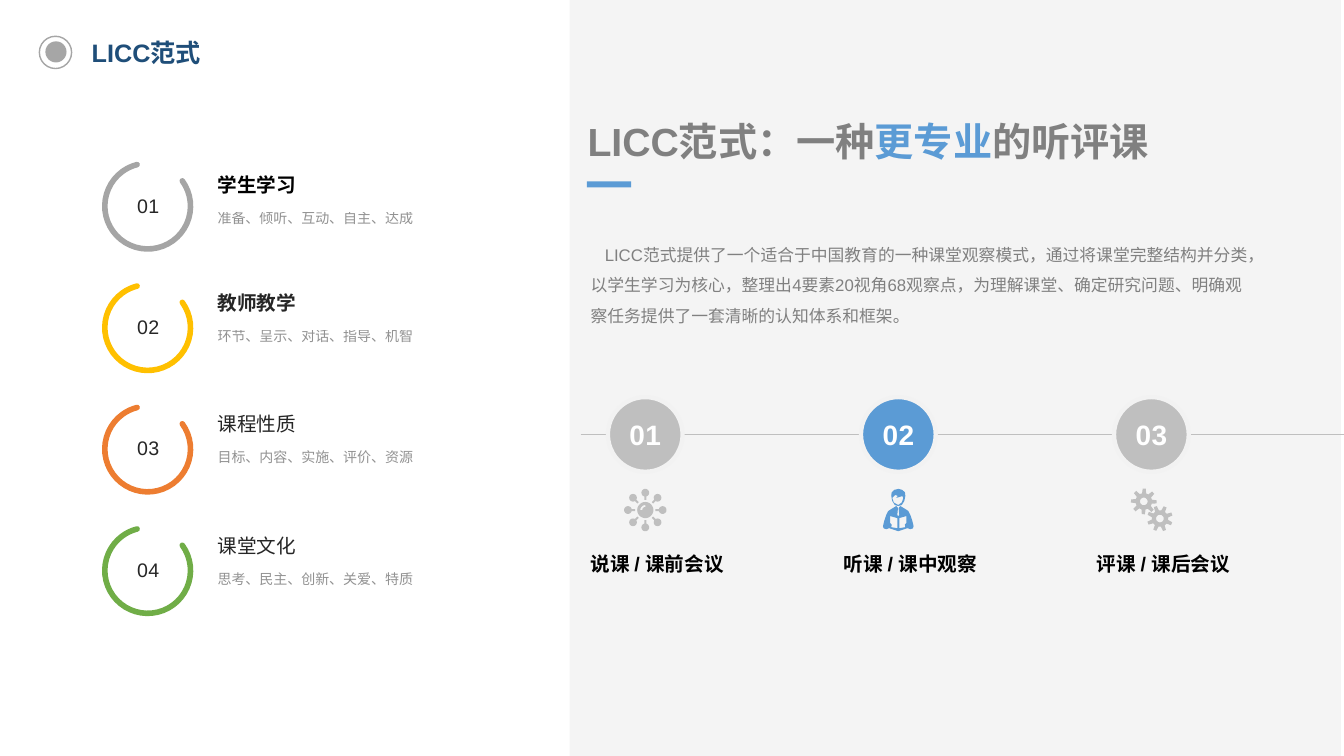
from dataclasses import dataclass
from math import cos, radians, sin

from lxml.etree import SubElement
from pptx import Presentation
from pptx.dml.color import RGBColor
from pptx.enum.shapes import MSO_CONNECTOR, MSO_SHAPE
from pptx.enum.text import MSO_ANCHOR, MSO_AUTO_SIZE, PP_ALIGN
from pptx.oxml.ns import qn
from pptx.util import Inches, Pt

FONT = "Arial"
WHITE = RGBColor(0xFF, 0xFF, 0xFF)
BLACK = RGBColor(0x00, 0x00, 0x00)
INK = RGBColor(0x26, 0x26, 0x26)
GRAY = RGBColor(0x80, 0x80, 0x80)
RING_GRAY = RGBColor(0xA6, 0xA6, 0xA6)
SILVER = RGBColor(0xBF, 0xBF, 0xBF)
PANEL = RGBColor(0xF2, 0xF2, 0xF2)
BLUE = RGBColor(0x5B, 0x9B, 0xD5)
NAVY = RGBColor(0x1F, 0x4E, 0x79)
ARC_GRAY = RGBColor(0xA5, 0xA5, 0xA5)
ARC_YELLOW = RGBColor(0xFF, 0xC0, 0x00)
ARC_ORANGE = RGBColor(0xED, 0x7D, 0x31)
ARC_GREEN = RGBColor(0x70, 0xAD, 0x47)

Points = list[tuple[float, float]]


@dataclass
class Run:
    text: str
    size: float
    color: RGBColor
    bold: bool = False
    opacity: int = 100


@dataclass
class Element:
    name: str
    detail: str
    color: RGBColor
    label_top: float
    label_color: RGBColor = INK
    bold: bool = False


@dataclass
class Stage:
    name: str
    color: RGBColor
    icon: list[Points]


def set_opacity(xml, percent: int) -> None:
    for color in list(xml.iter(qn("a:srgbClr"))):
        SubElement(color, qn("a:alpha")).set("val", str(percent * 1000))


def write(shape, runs: list[Run], align=PP_ALIGN.LEFT, anchor=MSO_ANCHOR.TOP, spacing=1.0):
    frame = shape.text_frame
    frame.word_wrap = True
    frame.auto_size = MSO_AUTO_SIZE.NONE
    frame.vertical_anchor = anchor
    paragraph = frame.paragraphs[0]
    paragraph.alignment = align
    paragraph.line_spacing = spacing
    for item in runs:
        run = paragraph.add_run()
        run.text = item.text
        run.font.name = FONT
        run.font.size = Pt(item.size)
        run.font.bold = item.bold
        run.font.color.rgb = item.color
        if item.opacity < 100:
            set_opacity(run._r, item.opacity)
    return paragraph


def add_text(slide, left: float, top: float, width: float, height: float, runs: list[Run], **layout):
    box = slide.shapes.add_textbox(Inches(left), Inches(top), Inches(width), Inches(height))
    return write(box, runs, **layout)


def add_preset(slide, kind, left: float, top: float, width: float, height: float,
               fill: RGBColor | None = None, line: RGBColor | None = None, weight: float = 1):
    shape = slide.shapes.add_shape(kind, Inches(left), Inches(top), Inches(width), Inches(height))
    shape.shadow.inherit = False
    if fill is None:
        shape.fill.background()
    else:
        shape.fill.solid()
        shape.fill.fore_color.rgb = fill
    if line is None:
        shape.line.fill.background()
    else:
        shape.line.color.rgb = line
        shape.line.width = Pt(weight)
    return shape


def add_icon(slide, contours: list[Points], x: float, y: float, color: RGBColor) -> None:
    places = [[(x * 1000 + dx, y * 1000 + dy) for dx, dy in contour] for contour in contours]
    builder = slide.shapes.build_freeform(*places[0][0], scale=914.4)
    builder.add_line_segments(places[0][1:])
    for contour in places[1:]:
        builder.move_to(*contour[0])
        builder.add_line_segments(contour[1:])
    shape = builder.convert_to_shape()
    shape.shadow.inherit = False
    shape.fill.solid()
    shape.fill.fore_color.rgb = color
    shape.line.fill.background()


def polar(radius: float, degrees: float, x: float = 0, y: float = 0) -> tuple[float, float]:
    return x + radius * cos(radians(degrees)), y + radius * sin(radians(degrees))


def circle(radius: float, x: float = 0, y: float = 0) -> Points:
    return [polar(radius, angle, x, y) for angle in range(0, 360, 10)]


def network_icon() -> list[Points]:
    glint = [polar(50, a) for a in range(180, 271, 10)] + [polar(30, a) for a in range(270, 179, -10)]
    spoke = [(100, 10), (100, -10)] + [polar(38, a, 172) for a in range(-165, 166, 15)]
    contours = [circle(80), glint]
    for turn in range(0, 360, 45):
        c, s = cos(radians(turn)), sin(radians(turn))
        contours.append([(u * c - v * s, u * s + v * c) for u, v in spoke])
    return contours


def mirror(points: Points) -> Points:
    return [(-x, y) for x, y in reversed(points)]


def reader_icon() -> list[Points]:
    head = [(0, -210), (40, -200), (66, -175), (70, -140), (60, -90), (35, -50), (0, -40)]
    face = [(-30, -150), (-60, -120), (-45, -75), (0, -50), (35, -75), (50, -120),
            (40, -138), (-20, -120), (-5, -140)]
    body = [(0, 60), (10, 50), (3, -20), (20, -40), (70, -10), (100, 10), (120, 50), (140, 110),
            (152, 160), (145, 182), (120, 190), (90, 180), (0, 210)]
    page = [(80, 60), (10, 80), (10, 180), (70, 170), (65, 145), (80, 130)]
    return [head + mirror(head), face, body + mirror(body), page, mirror(page)]


def gear(x: float, y: float, phase: float) -> list[Points]:
    profile = [(82, -14), (128, -7), (128, 7), (82, 14)]
    teeth = [polar(radius, phase + turn + offset, x, y)
             for turn in range(0, 360, 45) for radius, offset in profile]
    return [teeth, circle(38, x, y)]


def gears_icon() -> list[Points]:
    return gear(-75, -85, 2) + gear(85, 85, 24)


def add_element(slide, index: int, element: Element) -> None:
    top = 1.62 + 1.205 * index
    arc = add_preset(slide, MSO_SHAPE.ARC, 1.04, top, 0.85, 0.85, line=element.color, weight=4)
    arc.adjustments[0] = 162
    arc.adjustments[1] = 121.115
    arc.rotation = 53.9
    arc.element.spPr.find(qn("a:ln")).set("cap", "rnd")
    add_text(slide, 1.17, top + 0.25, 0.6, 0.34, number_runs(index + 1, 14, INK), align=PP_ALIGN.CENTER)
    add_text(slide, 2.06, element.label_top, 3.18, 0.34,
             [Run(element.name, 14, element.label_color, element.bold)])
    add_text(slide, 2.06, element.label_top + 0.33, 3.18, 0.28,
             [Run(element.detail, 10, INK, opacity=50)], spacing=1.2)


def number_runs(number: int, size: float, color: RGBColor, bold: bool = False) -> list[Run]:
    return [Run("0", size, color, bold), Run(" ", 1, color, bold), Run(str(number), size, color, bold)]


def add_stage(slide, index: int, stage: Stage) -> None:
    shift = 2.51 * index
    badge = add_preset(slide, MSO_SHAPE.OVAL, 6.03 + shift, 3.94, 0.74, 0.74, stage.color, PANEL, 3)
    badge.text_frame.margin_left = badge.text_frame.margin_right = 0
    write(badge, number_runs(index + 1, 20, WHITE, True), PP_ALIGN.CENTER, MSO_ANCHOR.MIDDLE)
    add_icon(slide, stage.icon, 6.4 + shift, 5.06, stage.color)
    add_text(slide, 5.76 + shift, 5.43, 2.28, 0.44, [Run(stage.name, 14, BLACK, True)])


def main() -> None:
    presentation = Presentation()
    presentation.slide_width = Inches(13.33)
    presentation.slide_height = Inches(7.5)
    slide = presentation.slides.add_slide(presentation.slide_layouts[5])

    title = slide.shapes.title
    title.left, title.top, title.width, title.height = Inches(0.81), Inches(0.32), Inches(2.71), Inches(0.4)
    write(title, [Run("LICC范式", 18, NAVY, True)])
    add_preset(slide, MSO_SHAPE.OVAL, 0.39, 0.36, 0.32, 0.32, line=RING_GRAY)
    add_preset(slide, MSO_SHAPE.OVAL, 0.45, 0.41, 0.21, 0.21, RING_GRAY)

    panel = add_preset(slide, MSO_SHAPE.RECTANGLE, 5.65, 0, 7.65, 7.5, PANEL)
    set_opacity(panel.element.spPr, 80)

    elements = [
        Element("学生学习", "准备、倾听、互动、自主、达成", ARC_GRAY, 1.67, BLACK, True),
        Element("教师教学", "环节、呈示、对话、指导、机智", ARC_YELLOW, 2.84, bold=True),
        Element("课程性质", "目标、内容、实施、评价、资源", ARC_ORANGE, 4.04),
        Element("课堂文化", "思考、民主、创新、关爱、特质", ARC_GREEN, 5.25),
    ]
    for index, element in enumerate(elements):
        add_element(slide, index, element)

    add_text(slide, 5.73, 1.11, 7.6, 1.16, [
        Run("LICC范式：一种", 28, GRAY, True), Run("更专业", 28, BLUE, True), Run("的听评课", 28, GRAY, True)])
    add_preset(slide, MSO_SHAPE.RECTANGLE, 5.82, 1.8, 0.44, 0.06, BLUE)
    summary = add_text(slide, 5.76, 2.21, 6.74, 1.14, [Run(
        "LICC范式提供了一个适合于中国教育的一种课堂观察模式，通过将课堂完整结构并分类，"
        "以学生学习为核心，整理出4要素20视角68观察点，为理解课堂、确定研究问题、"
        "明确观察任务提供了一套清晰的认知体系和框架。", 12, GRAY)], anchor=MSO_ANCHOR.MIDDLE, spacing=1.5)
    summary._p.get_or_add_pPr().set("indent", str(Inches(0.14)))

    timeline = slide.shapes.add_connector(
        MSO_CONNECTOR.STRAIGHT, Inches(5.76), Inches(4.31), Inches(13.33), Inches(4.31))
    timeline.line.color.rgb = SILVER
    timeline.line.width = Pt(0.25)
    SubElement(timeline.element.spPr, qn("a:effectLst"))
    stages = [
        Stage("说课 / 课前会议", SILVER, network_icon()),
        Stage("听课 / 课中观察", BLUE, reader_icon()),
        Stage("评课 / 课后会议", SILVER, gears_icon()),
    ]
    for index, stage in enumerate(stages):
        add_stage(slide, index, stage)

    presentation.save("out.pptx")


if __name__ == "__main__":
    main()
